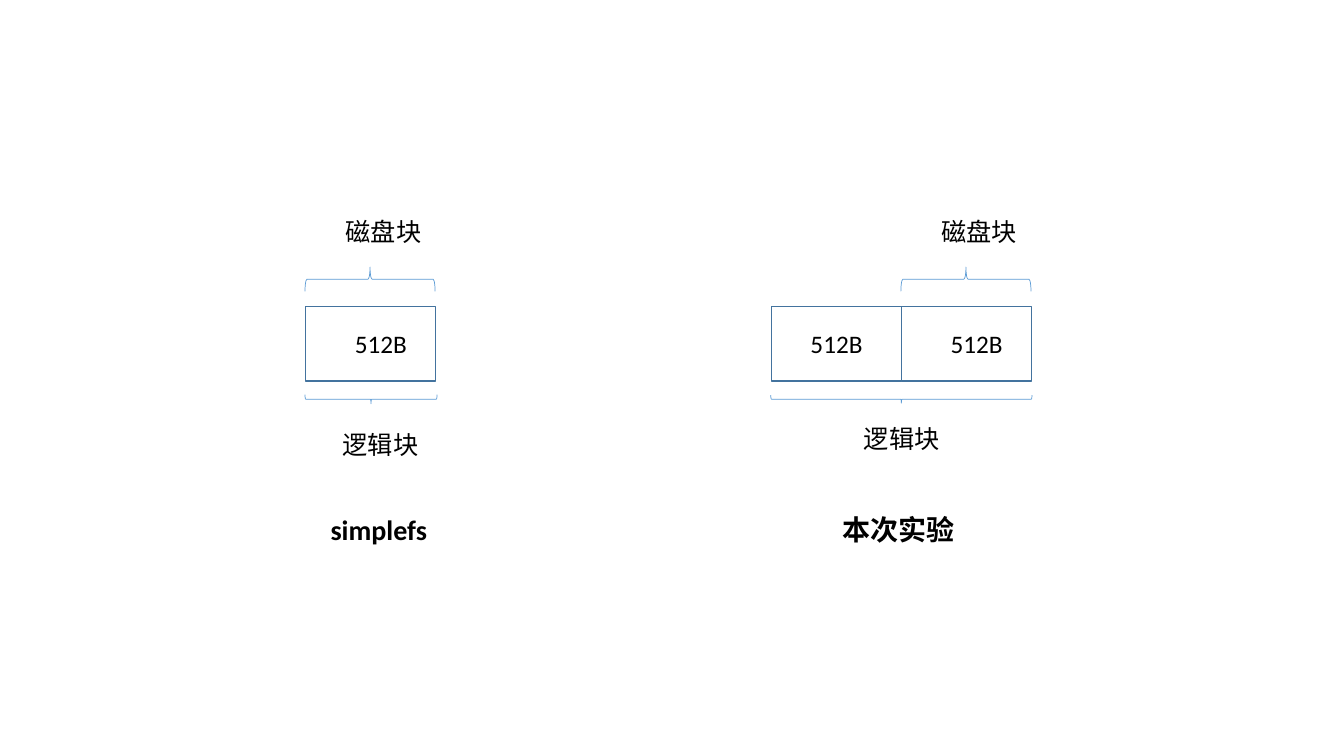
from dataclasses import dataclass

from pptx import Presentation
from pptx.dml.color import RGBColor
from pptx.enum.shapes import MSO_SHAPE
from pptx.enum.text import MSO_AUTO_SIZE
from pptx.shapes.autoshape import Shape
from pptx.slide import Slide
from pptx.util import Inches, Pt


@dataclass(frozen=True)
class Theme:
    font: str = "Calibri"
    text: RGBColor = RGBColor(0x00, 0x00, 0x00)
    block_line: RGBColor = RGBColor(0x43, 0x73, 0x9E)
    brace_line: RGBColor = RGBColor(0x5B, 0x9B, 0xD5)
    block_width: float = 1
    brace_width: float = 0.5
    label_size: int = 18
    caption_size: int = 20


@dataclass(frozen=True)
class Label:
    text: str
    left: float
    top: float
    width: float
    height: float = 0.4
    caption: bool = False


@dataclass(frozen=True)
class Brace:
    """A brace lying on its side, given by its centre, span and depth."""
    x: float
    y: float
    span: float
    depth: float
    rotation: int


@dataclass(frozen=True)
class Diagram:
    block_lefts: tuple[float, ...]
    braces: tuple[Brace, ...]
    labels: tuple[Label, ...]


THEME = Theme()
BLOCK_TOP, BLOCK_WIDTH, BLOCK_HEIGHT = 3.04, 1.29, 0.74
POINT_UP, POINT_DOWN = 90, 270

DIAGRAMS = (
    Diagram(
        (3.03,),
        (Brace(3.67, 2.77, 1.29, 0.24, POINT_UP),
         Brace(3.68, 3.96, 1.31, 0.09, POINT_DOWN)),
        (Label("磁盘块", 3.33, 2.1, 0.95),
         Label("逻辑块", 3.3, 4.21, 0.95),
         Label("512B", 3.42, 3.21, 0.72),
         Label("simplefs", 3.18, 5.04, 1.16, 0.44, caption=True)),
    ),
    Diagram(
        (7.65, 7.65 + BLOCK_WIDTH),
        (Brace(9.58, 2.77, 1.29, 0.24, POINT_UP),
         Brace(8.94, 3.96, 2.59, 0.08, POINT_DOWN)),
        (Label("磁盘块", 9.24, 2.1, 0.95),
         Label("逻辑块", 8.47, 4.15, 0.95),
         Label("512B", 7.94, 3.21, 0.72),
         Label("512B", 9.33, 3.21, 0.72),
         Label("本次实验", 8.26, 5.04, 1.31, 0.44, caption=True)),
    ),
)


def outline(sp: Shape, color: RGBColor, width: float) -> None:
    sp.shadow.inherit = False
    sp.fill.background()
    sp.line.color.rgb = color
    sp.line.width = Pt(width)


def add_block(s: Slide, left: float) -> None:
    sp = s.shapes.add_shape(MSO_SHAPE.RECTANGLE, Inches(left), Inches(BLOCK_TOP),
                            Inches(BLOCK_WIDTH), Inches(BLOCK_HEIGHT))
    outline(sp, THEME.block_line, THEME.block_width)


def add_brace(s: Slide, brace: Brace) -> None:
    sp = s.shapes.add_shape(
        MSO_SHAPE.LEFT_BRACE,
        Inches(brace.x - brace.depth / 2), Inches(brace.y - brace.span / 2),
        Inches(brace.depth), Inches(brace.span))
    sp.rotation = brace.rotation
    outline(sp, THEME.brace_line, THEME.brace_width)


def add_label(s: Slide, label: Label) -> None:
    sp = s.shapes.add_textbox(Inches(label.left), Inches(label.top),
                              Inches(label.width), Inches(label.height))
    tf = sp.text_frame
    tf.text = label.text
    tf.word_wrap = False
    tf.auto_size = MSO_AUTO_SIZE.SHAPE_TO_FIT_TEXT
    font = tf.paragraphs[0].runs[0].font
    font.name = THEME.font
    font.size = Pt(THEME.caption_size if label.caption else THEME.label_size)
    font.bold = label.caption
    font.color.rgb = THEME.text


def add_diagram(s: Slide, diagram: Diagram) -> None:
    for left in diagram.block_lefts:
        add_block(s, left)
    for brace in diagram.braces:
        add_brace(s, brace)
    for label in diagram.labels:
        add_label(s, label)


def main() -> None:
    prs = Presentation()
    prs.slide_width, prs.slide_height = Inches(13.33), Inches(7.5)
    s = prs.slides.add_slide(prs.slide_layouts[6])
    for diagram in DIAGRAMS:
        add_diagram(s, diagram)
    prs.save("out.pptx")


if __name__ == "__main__":
    main()
